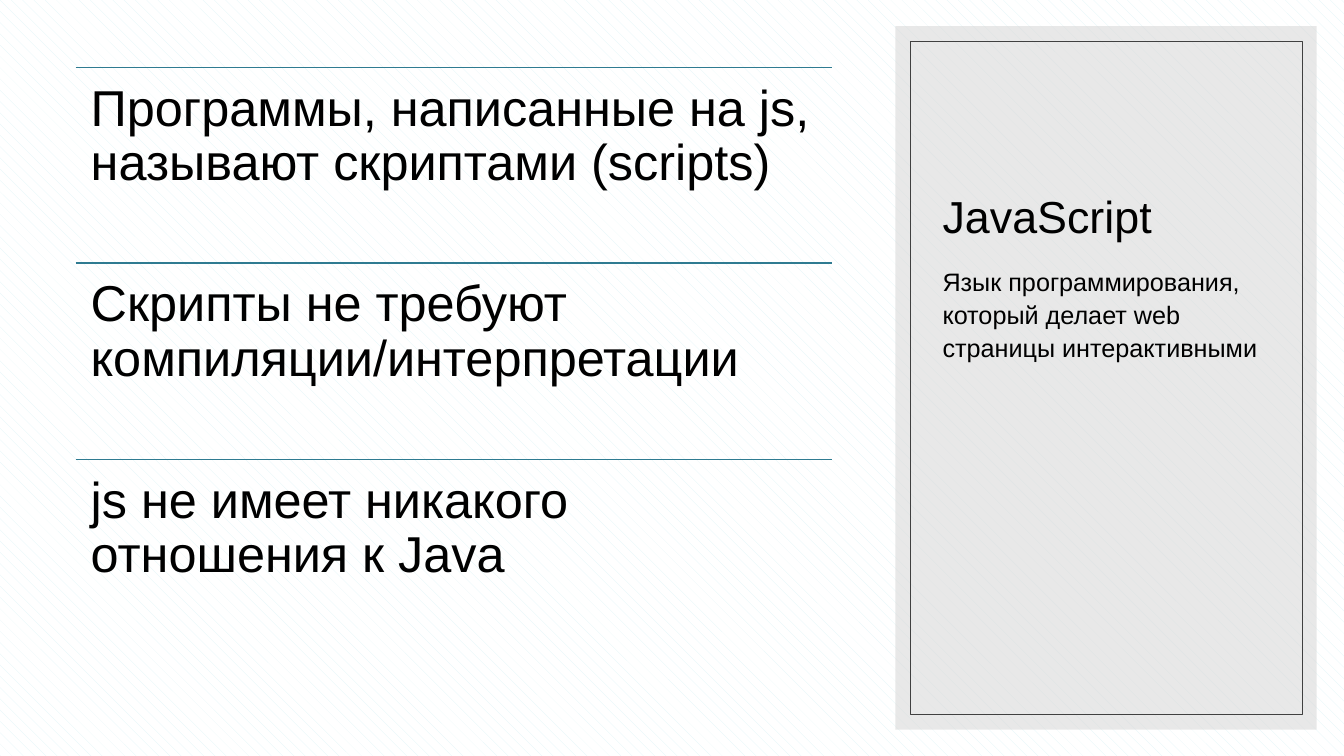
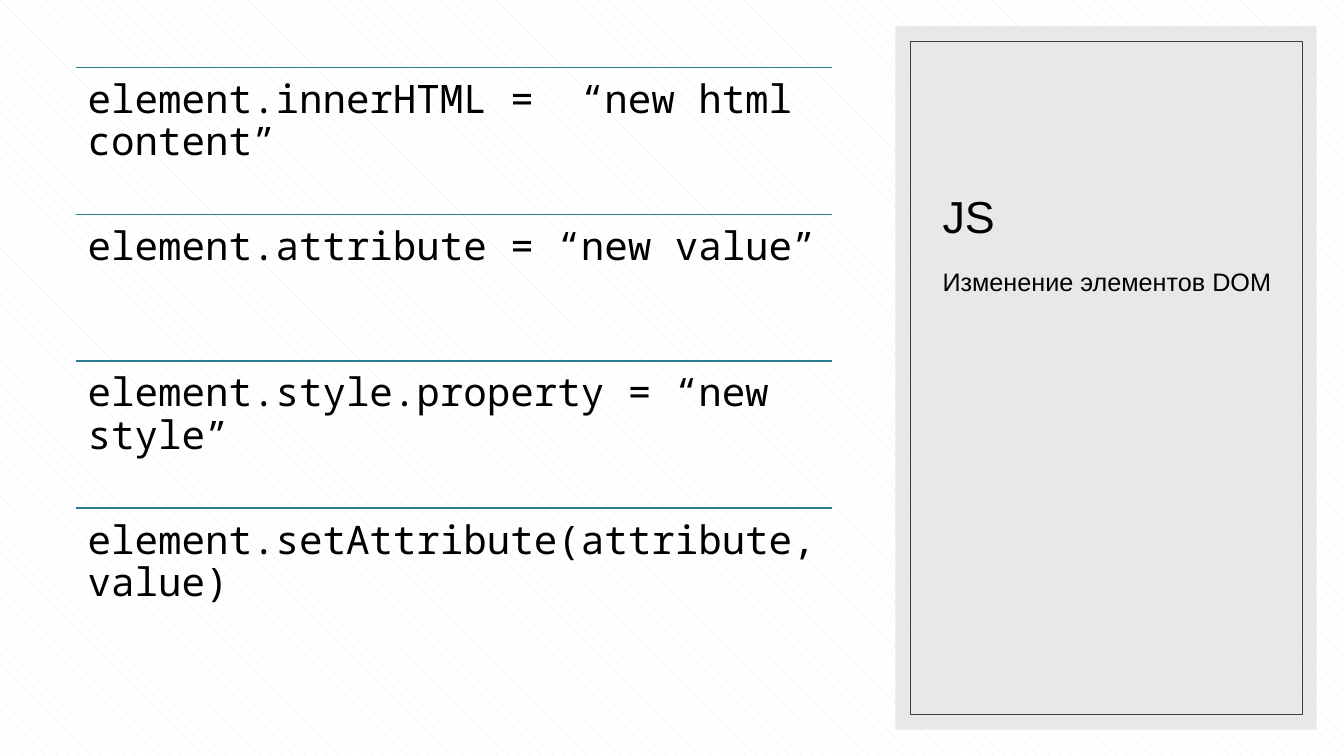
from lxml import etree
from pptx import Presentation
from pptx import util as u
from pptx.dml.color import RGBColor
from pptx.enum import dml, shapes, text
from pptx.oxml.ns import qn

EMU_PER_PX = 9144
COLORS = {
    "ink": "000000",
    "paper": "FFFFFF",
    "weave": "DEF4F7",
    "panel": "D9D9D9",
    "frame": "404040",
    "rule": "2F7B91",
}
ROWS_LEFT, ROWS_TOP, ROWS_WIDTH, ROWS_HEIGHT = 75, 67, 750, 583
PANEL = (888, 26, 418, 698)
FRAME = (903, 41, 389, 668)
HEADING = (925, 66, 346, 180)
SUMMARY = (925, 256, 346, 394)

HEADING_STYLE = {"font": {"name": "Arial", "size": u.Pt(32)},
                 "frame": {"vertical_anchor": text.MSO_ANCHOR.BOTTOM}}
SUMMARY_STYLE = {"font": {"name": "Arial", "size": u.Pt(18)},
                 "paragraph": {"line_spacing": 1.1, "space_before": u.Pt(8)}}

SLIDES = [
    {
        "heading": "JavaScript",
        "summary": "Язык программирования, который делает web страницы интерактивными",
        "font": {"name": "Arial", "size": u.Pt(36)},
        "inset": 15,
        "rows": [
            "Программы, написанные на js, называют скриптами (scripts)",
            "Скрипты не требуют компиляции/интерпретации",
            "js не имеет никакого отношения к Java",
        ],
    },
    {
        "heading": "JS",
        "summary": "Изменение элементов DOM",
        "font": {"name": "Noto Sans Mono", "size": u.Pt(28)},
        "inset": 12,
        "rows": [
            "element.innerHTML =  “new html content”",
            "element.attribute = “new value”",
            "element.style.property = “new style”",
            "element.setAttribute(attribute, value)",
        ],
    },
]


def px(length):
    return u.Emu(round(length * EMU_PER_PX))


def color(name):
    return RGBColor.from_string(COLORS[name])


def apply(target, values):
    for attribute, value in values.items():
        setattr(target, attribute, value)


class Deck:
    def __init__(self):
        self.presentation = Presentation()
        apply(self.presentation, {"slide_width": px(1333), "slide_height": px(750)})
        self.slide = None

    def new_slide(self):
        self.slide = self.presentation.slides.add_slide(self.presentation.slide_layouts[6])
        backdrop = self.slide.background.fill
        backdrop.patterned()
        backdrop.pattern = dml.MSO_PATTERN.SHINGLE
        backdrop.fore_color.rgb = color("weave")
        backdrop.back_color.rgb = color("paper")

    def box(self, area, fill=None, opacity=100, line=None):
        box = self.slide.shapes.add_shape(shapes.MSO_SHAPE.RECTANGLE, *map(px, area))
        box.shadow.inherit = False
        if fill:
            box.fill.solid()
            box.fill.fore_color.rgb = color(fill)
            tint = box.fill._xPr.find(qn("a:solidFill"))[0]
            etree.SubElement(tint, qn("a:alpha"), val=str(opacity * 1000))
        else:
            box.fill.background()
        if line:
            box.line.color.rgb = color(line)
            box.line.width = u.Pt(0.5)
        else:
            box.line.fill.background()

    def rule(self, left, top, width):
        rule = self.slide.shapes.add_connector(
            shapes.MSO_CONNECTOR.STRAIGHT, px(left), px(top), px(left + width), px(top))
        rule.line.color.rgb = color("rule")
        rule.line.width = u.Pt(1)
        etree.SubElement(rule._element.spPr, qn("a:effectLst"))

    def words(self, area, wording, style):
        frame = self.slide.shapes.add_textbox(*map(px, area)).text_frame
        apply(frame, {"word_wrap": True, **style.get("frame", {})})
        paragraph = frame.paragraphs[0]
        apply(paragraph, style.get("paragraph", {}))
        run = paragraph.add_run()
        run.text = wording
        apply(run.font, style["font"])
        run.font.color.rgb = color("ink")

    def side_panel(self, heading, summary):
        self.box(PANEL, fill="panel", opacity=60)
        self.box(FRAME, line="frame")
        self.words(HEADING, heading, HEADING_STYLE)
        self.words(SUMMARY, summary, SUMMARY_STYLE)

    def ruled_rows(self, rows, font, inset):
        sides = ("left", "top", "right", "bottom")
        style = {"font": font,
                 "frame": {f"margin_{side}": px(inset) for side in sides},
                 "paragraph": {"line_spacing": 0.9}}
        pitch = ROWS_HEIGHT / len(rows)
        for index, wording in enumerate(rows):
            top = round(ROWS_TOP + index * pitch)
            self.rule(ROWS_LEFT, top, ROWS_WIDTH)
            self.words((ROWS_LEFT, top, ROWS_WIDTH, round(pitch)), wording, style)


def main():
    deck = Deck()
    for content in SLIDES:
        deck.new_slide()
        deck.side_panel(content["heading"], content["summary"])
        deck.ruled_rows(content["rows"], content["font"], content["inset"])
    deck.presentation.save("out.pptx")


if __name__ == "__main__":
    main()
